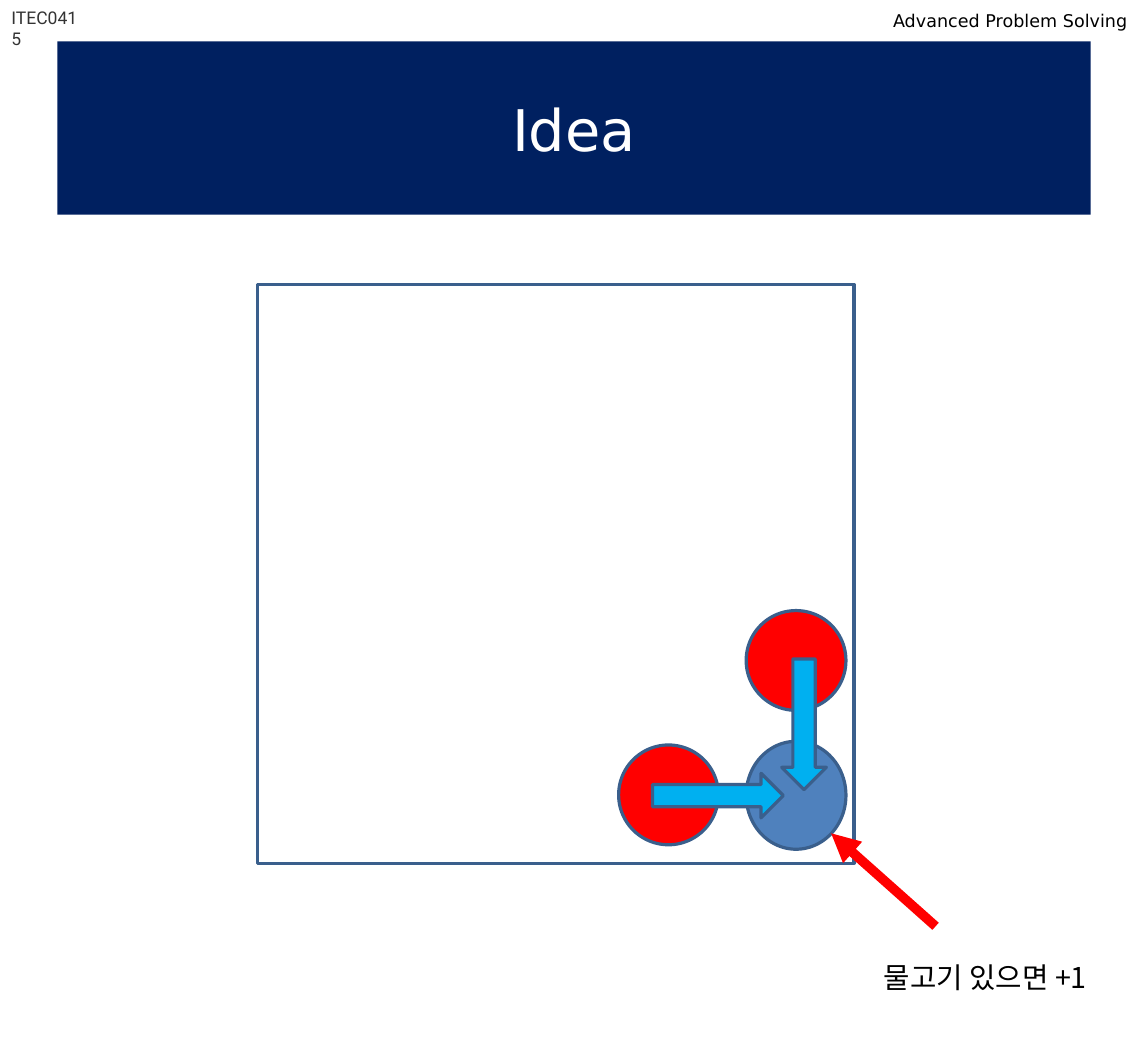
import pptx
import pptx.dml.color
import pptx.enum.shapes
import pptx.enum.text
import pptx.oxml.ns
import pptx.util
from dataclasses import dataclass
from lxml import etree

Pt = pptx.util.Pt
SHAPE = pptx.enum.shapes.MSO_SHAPE
ALIGN = pptx.enum.text.PP_ALIGN
qn = pptx.oxml.ns.qn


@dataclass(frozen=True)
class Theme:
    """Colours, fonts and sizes of the slide."""
    navy: str = "002060"
    white: str = "FFFFFF"
    black: str = "000000"
    grey: str = "333333"
    outline: str = "3A5F8C"
    blue: str = "4F81BD"
    red: str = "FF0000"
    sky: str = "00B0F0"
    sans: str = "DejaVu Sans"
    code: str = "Roboto"
    korean: str = "Noto Sans CJK KR"
    title_size: float = 36
    label_size: float = 18
    header_size: float = 11
    outline_width: float = 2
    pointer_width: float = 6


def rgb(value):
    """Return a colour object for a hex string."""
    return pptx.dml.color.RGBColor.from_string(value)


def write_text(tf, text, *, size, font, color, align=ALIGN.LEFT):
    """Write one formatted paragraph into a text frame."""
    tf.word_wrap = True
    p = tf.paragraphs[0]
    p.alignment = align
    r = p.add_run()
    r.text = text
    r.font.size = Pt(size)
    r.font.name = font
    r.font.color.rgb = rgb(color)
    etree.SubElement(r.font._element, qn("a:ea"), typeface=font)


class Builder:
    """Draw styled elements on the current slide."""

    def __init__(self, s, theme):
        self.s = s
        self.theme = theme

    def title(self, text, x, y, w, h):
        """Place and fill the title placeholder."""
        t = self.theme
        sp = self.s.shapes.title
        sp.left, sp.top, sp.width, sp.height = map(Pt, (x, y, w, h))
        sp.fill.solid()
        sp.fill.fore_color.rgb = rgb(t.navy)
        sp.text_frame.vertical_anchor = pptx.enum.text.MSO_ANCHOR.MIDDLE
        write_text(sp.text_frame, text, size=t.title_size, font=t.sans,
                   color=t.white, align=ALIGN.CENTER)

    def text(self, text, x, y, w, h, **style):
        """Add a text box."""
        sp = self.s.shapes.add_textbox(*map(Pt, (x, y, w, h)))
        write_text(sp.text_frame, text, **style)

    def shape(self, kind, x, y, w, h, fill, rotation=0):
        """Add an outlined preset shape."""
        sp = self.s.shapes.add_shape(kind, *map(Pt, (x, y, w, h)))
        sp.shadow.inherit = False
        sp.rotation = rotation
        sp.fill.solid()
        sp.fill.fore_color.rgb = rgb(fill)
        sp.line.color.rgb = rgb(self.theme.outline)
        sp.line.width = Pt(self.theme.outline_width)

    def pointer(self, x1, y1, x2, y2):
        """Add a thick line with an arrowhead at its end."""
        kind = pptx.enum.shapes.MSO_CONNECTOR.STRAIGHT
        cx = self.s.shapes.add_connector(kind, *map(Pt, (x1, y1, x2, y2)))
        cx.line.color.rgb = rgb(self.theme.red)
        cx.line.width = Pt(self.theme.pointer_width)
        etree.SubElement(cx.line._get_or_add_ln(), qn("a:tailEnd"), type="triangle")
        etree.SubElement(cx._element.spPr, qn("a:effectLst"))


def main():
    """Build and save the slide."""
    prs = pptx.Presentation()
    prs.slide_width, prs.slide_height = Pt(720), Pt(652.32)
    t = Theme()
    b = Builder(prs.slides.add_slide(prs.slide_layouts[5]), t)

    b.title("Idea", 36, 26, 648, 108.7)
    b.text("ITEC0415", 0, 0.7, 57, 21, size=t.header_size, font=t.code, color=t.grey)
    b.text("Advanced Problem Solving", 553, 3, 167, 21,
           size=t.header_size, font=t.sans, color=t.black)

    b.shape(SHAPE.RECTANGLE, 161.3, 178.5, 374.4, 363, t.white)
    b.shape(SHAPE.OVAL, 468, 465, 62.6, 67.7, t.blue)
    for x, y in ((468, 383), (388, 467.3)):
        b.shape(SHAPE.OVAL, x, y, 62.6, 62.6, t.red)
    for x, y, rotation in ((490.3, 413.3, 0), (436.3, 458, 270)):
        b.shape(SHAPE.DOWN_ARROW, x, y, 28, 82, t.sky, rotation)

    b.pointer(586.8, 581, 521.3, 522.7)
    b.text("물고기 있으면 +1", 547.2, 598.3, 164, 29,
           size=t.label_size, font=t.korean, color=t.black)
    prs.save("out.pptx")


if __name__ == "__main__":
    main()
